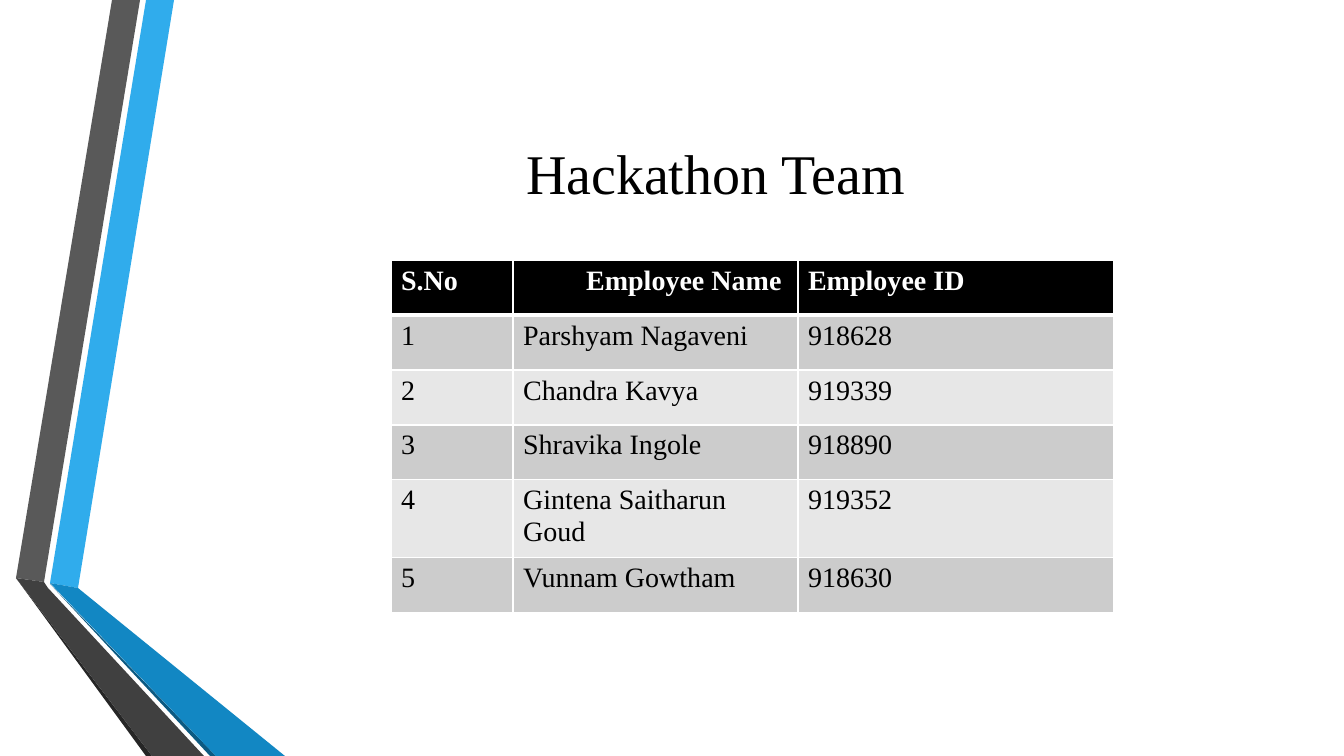
from lxml import etree
from pptx import Presentation
from pptx import util as u
from pptx.dml.color import RGBColor
from pptx.enum import text
from pptx.oxml import ns

PX = 914400 / 100.8
FONT = "Times New Roman"
WHITE, BLACK = "FFFFFF", "000000"

RIBBONS = [
    ("30ACEC", [(50, 583), (78, 588), (174, 0), (146, 0)]),
    ("595959", [(140, 0), (112, 0), (16, 578), (44, 582)]),
    ("262626", [(16, 578), (146, 756), (152, 756)]),
    ("0C5A82", [(50, 584), (210, 756), (216, 756)]),
    ("1287C3", [(50, 583), (216, 756), (285, 756), (78, 588)]),
    ("404040", [(16, 578), (152, 756), (204, 756), (48, 588), (44, 582)]),
]
HEADERS = ["S.No", "Employee Name", "Employee ID"]
EMPLOYEES = [
    ("Parshyam Nagaveni", "918628"),
    ("Chandra Kavya", "919339"),
    ("Shravika Ingole", "918890"),
    ("Gintena Saitharun Goud", "919352"),
    ("Vunnam Gowtham", "918630"),
]
COLUMN_WIDTHS = [122, 285, 316]
ROW_HEIGHT = 55
NAME_HEADER_INDENT = 63


def px(length):
    return u.Emu(round(length * PX))


def color(hex_value):
    return RGBColor.from_string(hex_value)


def set_font(paragraph, size, hex_value, bold=False):
    font = paragraph.font
    font.name = FONT
    font.size = u.Pt(size)
    font.bold = bold
    font.color.rgb = color(hex_value)


def add_ribbon(slide, hex_value, points):
    builder = slide.shapes.build_freeform(*points[0], scale=PX)
    builder.add_line_segments(points[1:], close=True)
    shape = builder.convert_to_shape()
    shape.shadow.inherit = False
    shape.fill.solid()
    shape.fill.fore_color.rgb = color(hex_value)
    shape.line.fill.background()


def add_title(slide, title, left, top, width, height):
    box = slide.shapes.add_textbox(px(left), px(top), px(width), px(height))
    frame = box.text_frame
    frame.word_wrap = True
    frame.vertical_anchor = text.MSO_ANCHOR.MIDDLE
    paragraph = frame.paragraphs[0]
    paragraph.text = title
    paragraph.alignment = text.PP_ALIGN.CENTER
    set_font(paragraph, 40, BLACK)


def set_borders(cell, top, bottom):
    properties = cell._tc.get_or_add_tcPr()
    for side, width in (("L", 1), ("R", 1), ("T", top), ("B", bottom)):
        line = etree.SubElement(properties, ns.qn(f"a:ln{side}"), w=str(u.Pt(width)))
        fill = etree.SubElement(line, ns.qn("a:solidFill"))
        etree.SubElement(fill, ns.qn("a:srgbClr"), val=WHITE)


def fill_cell(cell, content, row):
    header = row == 0
    set_borders(cell, 3 if row == 1 else 1, 3 if header else 1)
    cell.fill.solid()
    band = "CCCCCC" if row % 2 else "E7E7E7"
    cell.fill.fore_color.rgb = color(BLACK if header else band)
    paragraph = cell.text_frame.paragraphs[0]
    paragraph.text = content
    set_font(paragraph, 20, WHITE if header else BLACK, header)


def add_team_table(slide, left, top):
    rows = [HEADERS] + [(str(n), *employee) for n, employee in enumerate(EMPLOYEES, 1)]
    table = slide.shapes.add_table(
        len(rows), len(HEADERS), px(left), px(top),
        px(sum(COLUMN_WIDTHS)), px(ROW_HEIGHT * len(rows)),
    ).table
    table.horz_banding = False
    for column, width in zip(table.columns, COLUMN_WIDTHS):
        column.width = px(width)
    for row, values in enumerate(rows):
        table.rows[row].height = px(ROW_HEIGHT)
        for column, value in enumerate(values):
            fill_cell(table.cell(row, column), value, row)
    name_header = table.cell(0, 1).text_frame.paragraphs[0]
    name_header._p.get_or_add_pPr().set("marL", str(px(NAME_HEADER_INDENT)))


def main():
    presentation = Presentation()
    presentation.slide_width = px(1344)
    presentation.slide_height = px(756)
    slide = presentation.slides.add_slide(presentation.slide_layouts[6])
    for hex_value, points in RIBBONS:
        add_ribbon(slide, hex_value, points)
    add_title(slide, "Hackathon Team", 163, 76, 1105, 193)
    add_team_table(slide, 391, 260)
    presentation.save("out.pptx")


if __name__ == "__main__":
    main()
